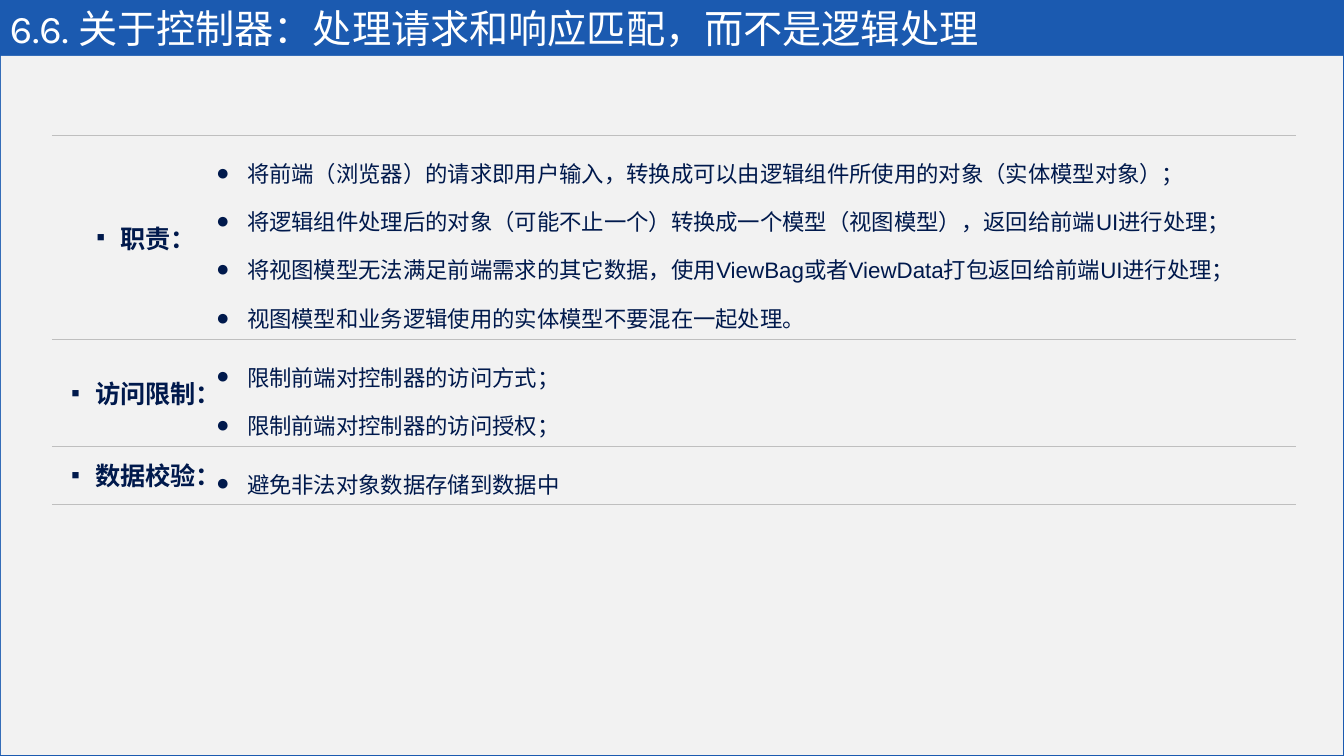
from lxml.etree import SubElement
from pptx import Presentation
from pptx.dml.color import RGBColor
from pptx.enum.shapes import MSO_SHAPE
from pptx.enum.text import MSO_ANCHOR, PP_ALIGN
from pptx.oxml import parse_xml
from pptx.oxml.ns import nsdecls, qn
from pptx.util import Pt

PX = 914400 / 100.8
BLUE = RGBColor(0x1B, 0x5A, 0xB0)
PANEL = RGBColor(0xF2, 0xF2, 0xF2)
NAVY = RGBColor(0x00, 0x19, 0x4C)
WHITE = RGBColor(0xFF, 0xFF, 0xFF)
RULE = RGBColor(0xBF, 0xBF, 0xBF)

SECTIONS = [
    ("职责：", 204, [
        "将前端（浏览器）的请求即用户输入，转换成可以由逻辑组件所使用的对象（实体模型对象）；",
        "将逻辑组件处理后的对象（可能不止一个）转换成一个模型（视图模型），返回给前端UI进行处理；",
        "将视图模型无法满足前端需求的其它数据，使用ViewBag或者ViewData打包返回给前端UI进行处理；",
        "视图模型和业务逻辑使用的实体模型不要混在一起处理。",
    ]),
    ("访问限制：", 107, ["限制前端对控制器的访问方式；", "限制前端对控制器的访问授权；"]),
    ("数据校验：", 58, ["避免非法对象数据存储到数据中"]),
]


def px(*lengths):
    return [round(n * PX) for n in lengths]


def write(tf, lines, size, color, font="Arial", bold=False, align=PP_ALIGN.LEFT,
          spacing=None, bullet=None, hang=0):
    for i, text in enumerate(lines):
        p = tf.add_paragraph() if i else tf.paragraphs[0]
        p.alignment = align
        p.line_spacing = spacing
        if bullet:
            pPr = p._p.get_or_add_pPr()
            indent, = px(hang)
            pPr.set("marL", str(indent))
            pPr.set("indent", str(-indent))
            SubElement(pPr, qn("a:buFont")).set("typeface", "Arial")
            SubElement(pPr, qn("a:buChar")).set("char", bullet)
        r = p.add_run()
        r.text = text
        r.font.size, r.font.bold, r.font.name = Pt(size), bold, font
        r.font.color.rgb = color


prs = Presentation()
prs.slide_width, prs.slide_height = px(1344, 756)
s = prs.slides.add_slide(prs.slide_layouts[6])
s.background.fill.solid()
s.background.fill.fore_color.rgb = BLUE

panel = s.shapes.add_shape(MSO_SHAPE.RECTANGLE, *px(1, 56, 1342, 699))
panel.shadow.inherit = False
panel.fill.solid()
panel.fill.fore_color.rgb = PANEL
panel.line.fill.background()

title = s.shapes.add_textbox(*px(0, 1, 1344, 54))
tf = title.text_frame
tf.word_wrap = True
tf.vertical_anchor = MSO_ANCHOR.MIDDLE
write(tf, ["6.6. 关于控制器：处理请求和响应匹配，而不是逻辑处理"], 28, WHITE, font="Karla")

table_height = sum(height for _, height, _ in SECTIONS)
table = s.shapes.add_table(len(SECTIONS), 2, *px(52, 135, 1244, table_height)).table
table.first_row = table.horz_banding = False
for column, width in zip(table.columns, px(154, 1090)):
    column.width = width

for row, (label, height, duties) in zip(table.rows, SECTIONS):
    row.height, = px(height)
    label_cell, duty_cell = row.cells
    write(label_cell.text_frame, [label], 18, NAVY, bold=True,
          align=PP_ALIGN.RIGHT, bullet="▪", hang=24)
    write(duty_cell.text_frame, duties, 16, NAVY, spacing=1.5, bullet="●", hang=31)
    for cell in row.cells:
        cell.vertical_anchor = MSO_ANCHOR.MIDDLE
        cell.fill.background()
        tcPr = cell._tc.get_or_add_tcPr()
        for i, side in enumerate("LRTB"):
            paint = (f'<a:solidFill><a:srgbClr val="{RULE}"/></a:solidFill>'
                     if side in "TB" else "<a:noFill/>")
            tcPr.insert(i, parse_xml(
                f'<a:ln{side} {nsdecls("a")} w="{Pt(0.75)}">{paint}</a:ln{side}>'))

prs.save("out.pptx")
